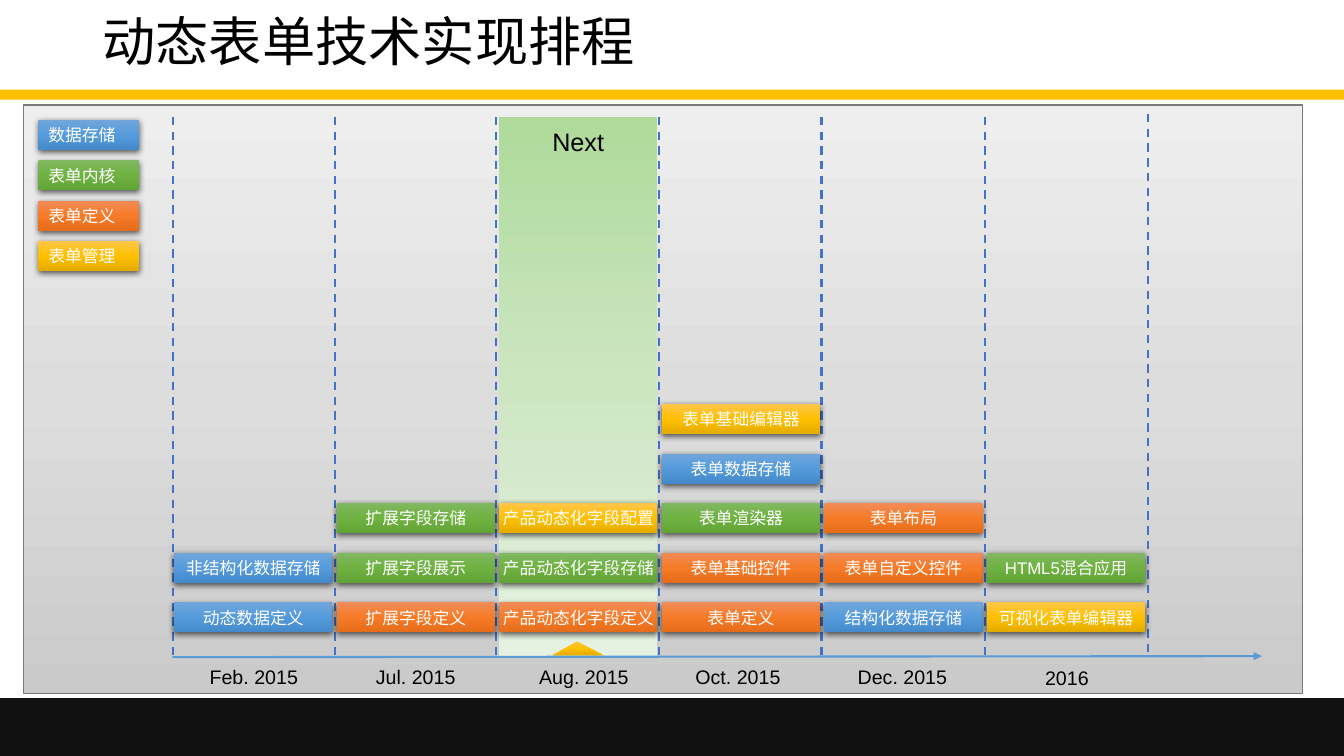
"""Build the dynamic form technology schedule slide."""
import copy

import lxml.etree
import pptx
import pptx.dml.color
import pptx.enum.dml
import pptx.enum.shapes
import pptx.enum.text
import pptx.oxml.ns
import pptx.util

Pt = pptx.util.Pt
qn = pptx.oxml.ns.qn
SHAPE = pptx.enum.shapes.MSO_SHAPE
ALIGN = pptx.enum.text.PP_ALIGN
ANCHOR = pptx.enum.text.MSO_ANCHOR
FIT = pptx.enum.text.MSO_AUTO_SIZE


def paint(fill, colours, angle=270):
    """Apply one hex colour, or three hex colours as a gradient."""
    if isinstance(colours, str):
        fill.solid()
        fill.fore_color.rgb = pptx.dml.color.RGBColor.from_string(colours)
        return
    fill.gradient()
    fill.gradient_angle = angle
    stops = fill._xPr.find(".//" + qn("a:gsLst"))
    stops.append(copy.deepcopy(stops[-1]))
    for stop, colour, position in zip(fill.gradient_stops, colours, (0, 0.5, 1)):
        stop.color.rgb = pptx.dml.color.RGBColor.from_string(colour)
        stop.position = position


def write(sp, text, size, colour, align, frame):
    """Put one formatted paragraph into a shape."""
    tf = sp.text_frame
    for name, value in frame.items():
        setattr(tf, name, value)
    p = tf.paragraphs[0]
    p.alignment = align
    r = p.add_run()
    r.text = text
    for name, value in {"name": "Arial", "size": Pt(size)}.items():
        setattr(r.font, name, value)
    paint(r.font.fill, colour)
    return p


BLUE = ("71A6DB", "559BDB", "448ACA")
GREEN = ("81B861", "6FB242", "62A336")
ORANGE = ("F18C57", "F67B28", "E56C19")
GOLD = ("FFC64B", "FFC000", "E3AB00")

prs = pptx.Presentation()
prs.slide_width, prs.slide_height = Pt(960), Pt(540)
s = prs.slides.add_slide(prs.slide_layouts[6])

backdrop = [
    (SHAPE.RECTANGLE, 0, 64.1, 960, 7.2, "FFC000", 270, None, 0),
    (SHAPE.RECTANGLE, 0, 498.6, 960, 41.4, "111111", 270, None, 0),
    (SHAPE.RECTANGLE, 16.6, 74.9, 913.7, 420.5, ("CACACA", "DDDDDD", "EEEEEE"), 90, "7A7A7A", 1),
    (SHAPE.RECTANGLE, 356.4, 83.5, 113, 385.2, ("AEDA9B", "CDE6C2", "E6F2E1"), 270, None, 0),
    (SHAPE.ISOSCELES_TRIANGLE, 395.3, 458.6, 35.3, 9.4, GOLD, 270, "FFC000", 0.5),
]
for kind, x, y, w, h, colours, angle, line, weight in backdrop:
    sp = s.shapes.add_shape(kind, Pt(x), Pt(y), Pt(w), Pt(h))
    sp.shadow.inherit = False
    paint(sp.fill, colours, angle)
    if line:
        paint(sp.line.fill, line)
        sp.line.width = Pt(weight)
    else:
        sp.line.fill.background()
    if kind == SHAPE.ISOSCELES_TRIANGLE:
        sp.adjustments[0] = 0.479

sp = s.shapes.add_textbox(Pt(66.2), Pt(0.7), Pt(828), Pt(61.2))
p = write(sp, "动态表单技术实现排程", 38, "000000", ALIGN.LEFT,
          {"word_wrap": True, "vertical_anchor": ANCHOR.MIDDLE})
p.line_spacing = 0.9

rules = [(x, 83.5, x, 470.9) for x in (123.8, 239, 354.2, 470.9, 586.8, 703.4)]
rules.append((820, 81.4, 820, 468.7))
axis = (123.1, 469.4, 901.4, 468.7)
for ends in rules + [axis]:
    line = s.shapes.add_connector(pptx.enum.shapes.MSO_CONNECTOR.STRAIGHT, *map(Pt, ends))
    paint(line.line.fill, "5B9BD5" if ends == axis else "4472C4")
    line.line.width = Pt(1.5)
    if ends == axis:
        ln = line.line._get_or_add_ln()
        lxml.etree.SubElement(ln, qn("a:tailEnd"), type="triangle")
    else:
        line.line.dash_style = pptx.enum.dml.MSO_LINE.DASH
    lxml.etree.SubElement(line._element.spPr, qn("a:effectLst"))

labels = [
    ("Feb. 2015", 142.6, 471.6, 77.8, 14),
    ("Jul. 2015", 261.4, 471.6, 72, 14),
    ("Aug. 2015", 378, 471.6, 78.5, 14),
    ("Oct. 2015", 489.6, 471.6, 75.6, 14),
    ("Dec. 2015", 605.5, 471.6, 78.5, 14),
    ("2016", 739.4, 472.3, 46.1, 14),
    ("Next", 387.4, 86.4, 51.8, 18),
]
for text, x, y, w, size in labels:
    sp = s.shapes.add_textbox(Pt(x), Pt(y), Pt(w), Pt(size * 1.2 + 7.4))
    write(sp, text, size, "000000", ALIGN.LEFT,
          {"word_wrap": False, "auto_size": FIT.SHAPE_TO_FIT_TEXT})

legend = [("数据存储", BLUE), ("表单内核", GREEN), ("表单定义", ORANGE), ("表单管理", GOLD)]
stages = [
    [("动态数据定义", BLUE), ("非结构化数据存储", BLUE)],
    [("扩展字段定义", ORANGE), ("扩展字段展示", GREEN), ("扩展字段存储", GREEN)],
    [("产品动态化字段定义", ORANGE), ("产品动态化字段存储", GREEN), ("产品动态化字段配置", GOLD)],
    [("表单定义", ORANGE), ("表单基础控件", ORANGE), ("表单渲染器", GREEN),
     ("表单数据存储", BLUE), ("表单基础编辑器", GOLD)],
    [("结构化数据存储", BLUE), ("表单自定义控件", ORANGE), ("表单布局", ORANGE)],
    [("可视化表单编辑器", GOLD), ("HTML5混合应用", GREEN)],
]
tiles = [(text, colours, 27.4, 85.7 + 28.8 * i, 72, ALIGN.LEFT, 7.2)
         for i, (text, colours) in enumerate(legend)]
tiles += [(text, colours, 124.5 + 116.1 * col, 430.2 - 35.4 * row, 113, ALIGN.CENTER, 0)
          for col, stage in enumerate(stages)
          for row, (text, colours) in enumerate(stage)]
for text, colours, x, y, w, align, inset in tiles:
    sp = s.shapes.add_shape(SHAPE.RECTANGLE, Pt(x), Pt(y), Pt(w), Pt(21.6))
    paint(sp.fill, colours)
    sp.line.fill.background()
    sp.shadow.inherit = False
    effects = sp._element.spPr.find(qn("a:effectLst"))
    shadow = lxml.etree.SubElement(effects, qn("a:outerShdw"), blurRad=str(Pt(4.5)),
                                   dist=str(Pt(1.5)), dir="5400000", rotWithShape="0")
    black = lxml.etree.SubElement(shadow, qn("a:srgbClr"), val="000000")
    lxml.etree.SubElement(black, qn("a:alpha"), val="63000")
    write(sp, text, 12, "FFFFFF", align,
          {"word_wrap": True, "vertical_anchor": ANCHOR.MIDDLE,
           "margin_left": Pt(inset), "margin_right": Pt(inset)})

prs.save("out.pptx")
